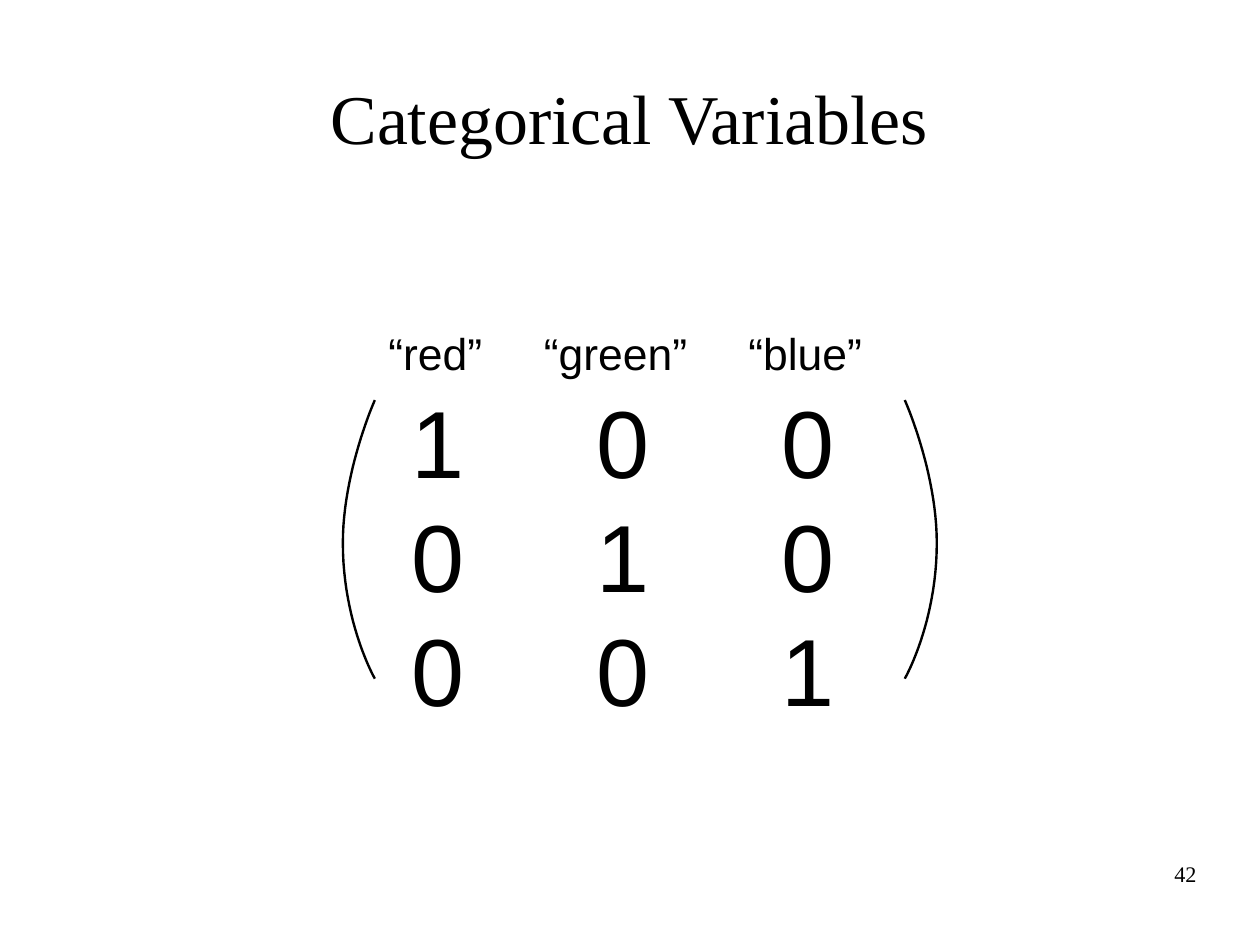
from lxml import etree
from pptx import Presentation
from pptx.dml import color
from pptx.enum import text
from pptx.oxml import ns
from pptx.util import Pt

BLACK, WHITE = "000000", "FFFFFF"
SANS, SERIF = "Arial", "Times New Roman"


def paint(target, value):
    target.rgb = color.RGBColor.from_string(value)


def add_tabs(para, stops):
    tab_list = etree.SubElement(para._p.get_or_add_pPr(), ns.qn("a:tabLst"))
    for stop in stops:
        etree.SubElement(tab_list, ns.qn("a:tab"), pos=str(Pt(stop)), algn="l")


def add_lines(page, area, lines, font, size, inset=(0, 0), align="LEFT",
              anchor="TOP", stops=()):
    """Place a text box; inset holds the side and top margins."""
    box = page.shapes.add_textbox(*map(Pt, area))
    frame = box.text_frame
    frame.word_wrap = True
    frame.vertical_anchor = getattr(text.MSO_ANCHOR, anchor)
    side, top = inset
    frame.margin_left = frame.margin_right = Pt(side)
    frame.margin_top = frame.margin_bottom = Pt(top)
    for index, line in enumerate(lines):
        para = frame.paragraphs[0] if index == 0 else frame.add_paragraph()
        para.alignment = getattr(text.PP_ALIGN, align)
        if stops:
            add_tabs(para, stops)
        span = para.add_run()
        span.text = line
        span.font.name, span.font.size = font, Pt(size)
        paint(span.font.color, BLACK)


def curve(start, first, second, end, steps=24):
    """Points along a cubic curve."""
    for step in range(steps + 1):
        t = step / steps
        weights = ((1 - t) ** 3, 3 * t * (1 - t) ** 2, 3 * t * t * (1 - t), t ** 3)
        yield tuple(sum(weight * point[axis] for weight, point
                        in zip(weights, (start, first, second, end)))
                    for axis in (0, 1))


def add_parenthesis(page, area, opening):
    left, top, width, height = area
    tip, belly = (left + width, left) if opening else (left, left + width)
    middle = top + 90
    upper = curve((tip, top), (tip, top), (belly, top + 45), (belly, middle))
    lower = curve((belly, middle), (belly, middle + 50.4),
                  (tip, top + height), (tip, top + height))
    points = [(Pt(x), Pt(y)) for x, y in [*upper, *list(lower)[1:]]]
    builder = page.shapes.build_freeform(*points[0])
    builder.add_line_segments(points[1:], close=False)
    shape = builder.convert_to_shape()
    shape.shadow.inherit = False
    shape.fill.background()
    paint(shape.line.color, BLACK)
    shape.line.width = Pt(1.5)


def add_matrix(page, left, top, names, size=3):
    # Parentheses around the matrix
    for offset, opening in ((0, True), (354, False)):
        add_parenthesis(page, (left + offset, top, 20.16, 175.5), opening)

    # Identity matrix, one tab stop per column
    rows = ["\t".join(str(int(row == column)) for column in range(size))
            for row in range(size)]
    pitch = 116.5
    add_lines(page, (left + 36, top - 14.4, 301, 273.6), rows, SANS, 60,
              inset=(7.2, 3.6),
              stops=[pitch * column for column in range(1, size)])

    # Category names above the columns
    add_lines(page, (left + 21.6, top - 50.4, 345.6, 38.2), ["\t".join(names)],
              SANS, 28, inset=(7.2, 3.6), stops=(98, 226.75))


def add_heading(page, area, heading):
    add_lines(page, area, [heading], SERIF, 44, align="CENTER", anchor="MIDDLE")


def add_page_number(page, area, number):
    add_lines(page, area, [str(number)], SERIF, 14, align="RIGHT")


def main():
    deck = Presentation()
    deck.slide_width, deck.slide_height = Pt(793.75), Pt(595.25)
    page = deck.slides.add_slide(deck.slide_layouts[6])
    backdrop = page.background.fill
    backdrop.solid()
    paint(backdrop.fore_color, WHITE)
    add_heading(page, (39.6, 23.76, 714.24, 99.36), "Categorical Variables")
    add_matrix(page, 216, 252, ("“red”", "“green”", "“blue”"))
    add_page_number(page, (568.8, 542.16, 185, 41), 42)
    deck.save("out.pptx")


if __name__ == "__main__":
    main()
